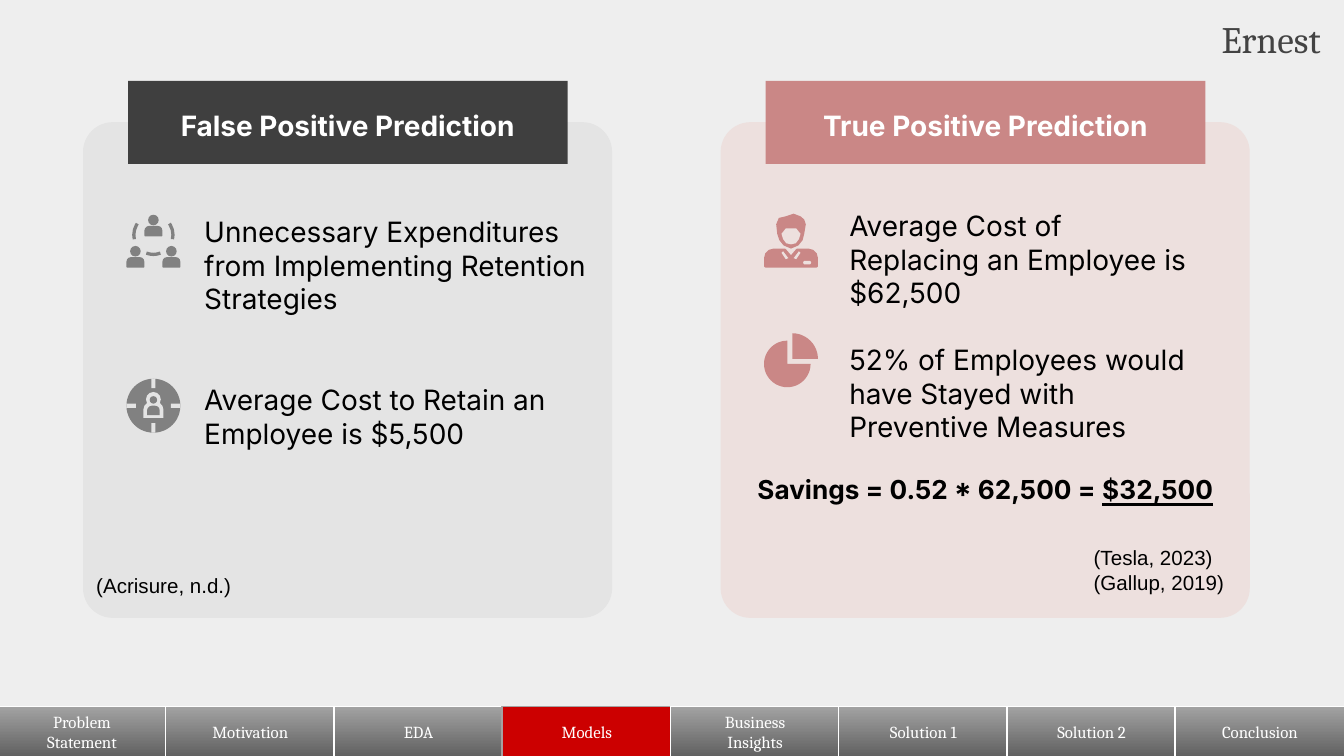
from pptx import Presentation
from pptx.dml.color import RGBColor
from pptx.enum.shapes import MSO_SHAPE
from pptx.enum.text import MSO_ANCHOR, MSO_AUTO_SIZE, PP_ALIGN
from pptx.util import Cm, Pt
from lxml import etree

OVAL, BAR, PIE, ARC = MSO_SHAPE.OVAL, MSO_SHAPE.RECTANGLE, MSO_SHAPE.PIE, MSO_SHAPE.ARC
CARD, SHOULDERS = MSO_SHAPE.ROUNDED_RECTANGLE, MSO_SHAPE.ROUND_2_SAME_RECTANGLE
TAB = MSO_SHAPE.SNIP_1_RECTANGLE
LEFT, CENTER, RIGHT, JUSTIFY = PP_ALIGN.LEFT, PP_ALIGN.CENTER, PP_ALIGN.RIGHT, PP_ALIGN.JUSTIFY
TOP, MIDDLE = MSO_ANCHOR.TOP, MSO_ANCHOR.MIDDLE
DRAWING = "{http://schemas.openxmlformats.org/drawingml/2006/main}"
ICON = 1.02


def color(value):
    """Turn a hex string into a colour."""
    return RGBColor.from_string(value)


def paint(shape, fill):
    """Give a shape a flat fill without line or shadow."""
    shape.shadow.inherit = False
    shape.fill.solid()
    shape.fill.fore_color.rgb = color(fill)
    shape.line.fill.background()
    return shape


def add_shape(page, kind, box, fill, *adjustments):
    """Add a flat preset shape in a box given in centimetres."""
    shape = page.shapes.add_shape(kind, *map(Cm, box))
    for index, value in enumerate(adjustments):
        shape.adjustments[index] = value
    return paint(shape, fill)


def add_outline(page, x, y, points, fill):
    """Add a closed polygon whose points are relative to x, y."""
    corners = [(Cm(x + dx), Cm(y + dy)) for dx, dy in points]
    builder = page.shapes.build_freeform(*corners[0])
    builder.add_line_segments(corners[1:])
    paint(builder.convert_to_shape(), fill)


def add_text(shape, lines, font, size, ink, align=LEFT, anchor=TOP, inset=0.25, bold=False,
             gap=0, spacing=1.0):
    """Write paragraphs, each a list of runs, where a second run is underlined."""
    frame = shape.text_frame
    frame.word_wrap = True
    frame.auto_size = MSO_AUTO_SIZE.NONE
    frame.vertical_anchor = anchor
    frame.margin_left = frame.margin_right = Cm(inset)
    frame.margin_top = frame.margin_bottom = Cm(min(inset, 0.25) if inset > 0.2 else 0.1)
    for index, runs in enumerate(lines):
        para = frame.add_paragraph() if index else frame.paragraphs[0]
        properties = para._p.get_or_add_pPr()
        properties.set("marL", "0")
        properties.set("indent", "0")
        etree.SubElement(properties, DRAWING + "buNone")
        para.alignment = align
        para.line_spacing = spacing
        para.space_before = Pt(gap if index else 0)
        for position, text in enumerate(runs):
            span = para.add_run()
            span.text = text
            span.font.name, span.font.size = font, Pt(size)
            span.font.bold, span.font.underline = bold, position > 0
            span.font.color.rgb = color(ink)


def add_label(page, box, lines, font, size, ink, **options):
    """Add a text box in a box given in centimetres."""
    add_text(page.shapes.add_textbox(*map(Cm, box)), lines, font, size, ink, **options)


def move(placeholder, box):
    """Move a placeholder to a box and bring it to the front."""
    placeholder.left, placeholder.top, placeholder.width, placeholder.height = map(Cm, box)
    placeholder.element.getparent().append(placeholder.element)
    return placeholder


def draw_team(page, x, y, ink, ground):
    """Draw three people joined by arcs."""
    for dx, dy in ((0.34, 0), (0, 0.59), (0.68, 0.59)):
        add_shape(page, OVAL, (x + dx + 0.07, y + dy, 0.2, 0.2), ink)
        add_shape(page, SHOULDERS, (x + dx, y + dy + 0.21, 0.34, 0.2), ink, 0.45, 0.1)
    for start, end in ((167, 215), (325, 13), (69, 111)):
        arc = add_shape(page, ARC, (x + 0.14, y + 0.01, 0.74, 0.74), ink, start * 0.6, end * 0.6)
        arc.fill.background()
        arc.line.color.rgb = color(ink)
        arc.line.width = Pt(1.75)


def draw_target(page, x, y, ink, ground):
    """Draw a target with a person at its centre."""
    add_shape(page, OVAL, (x, y, ICON, ICON), ink)
    middle, far = 0.47, ICON - 0.18
    for end in (0, far):
        add_shape(page, BAR, (x + middle, y + end, 0.08, 0.18), ground)
        add_shape(page, BAR, (x + end, y + middle, 0.18, 0.08), ground)
    for fill, head, body in ((ground, (0.37, 0.25, 0.28, 0.28), (0.32, 0.43, 0.38, 0.31)),
                             (ink, (0.44, 0.33, 0.14, 0.14), (0.39, 0.51, 0.24, 0.18))):
        add_shape(page, OVAL, (x + head[0], y + head[1], *head[2:]), fill)
        add_shape(page, SHOULDERS, (x + body[0], y + body[1], *body[2:]), fill, 0.5, 0)


def draw_employee(page, x, y, ink, ground):
    """Draw the bust of an employee with collar and badge."""
    hair = [(0.56, 0), (0.41, 0.05), (0.28, 0.08), (0.23, 0.2), (0.25, 0.38), (0.29, 0.5),
            (0.37, 0.6), (0.51, 0.66), (0.65, 0.6), (0.73, 0.5), (0.76, 0.38), (0.79, 0.2),
            (0.76, 0.11), (0.69, 0.05)]
    face = [(0.41, 0.28), (0.61, 0.28), (0.69, 0.38), (0.66, 0.48), (0.6, 0.56), (0.51, 0.58),
            (0.42, 0.56), (0.36, 0.48), (0.33, 0.38)]
    lapel = [(0.36, 0.71), (0.46, 0.84), (0.41, 0.86), (0.33, 0.74)]
    add_shape(page, SHOULDERS, (x, y + 0.66, ICON, 0.36), ink, 0.5, 0.1)
    add_outline(page, x, y, [(0.39, 0.64), (0.63, 0.64), (0.51, 0.78)], ground)
    add_outline(page, x, y, hair, ink)
    add_outline(page, x, y, face, ground)
    add_outline(page, x, y, lapel, ground)
    add_outline(page, x, y, [(ICON - dx, dy) for dx, dy in lapel], ground)
    add_shape(page, CARD, (x + 0.74, y + 0.89, 0.15, 0.07), ground, 0.5)


def draw_pie(page, x, y, ink, ground):
    """Draw a pie with its upper right quarter pulled out."""
    add_shape(page, PIE, (x, y + 0.14, 0.88, 0.88), ink, 0, 162)
    add_shape(page, PIE, (x + 0.05, y, 0.97, 0.97), ink, 162, 0)


def build_card(page, x, ground, ink, accent, heading, title, body, body_box, lines, gap, icons):
    """Build one prediction card with heading, icons and statements."""
    add_shape(page, CARD, (x, 2.31, 10, 9.37), ground, 0.06)
    header = paint(move(heading, (x + 0.85, 1.53, 8.31, 1.57)), accent)
    add_text(header, [[title]], "Inter", 15, "FFFFFF", CENTER, MIDDLE, bold=True, spacing=1.15)
    for draw, top in icons:
        draw(page, x + 0.82, top, ink, ground)
    left, top, width, height = body_box
    add_text(move(body, (x + left, top, width, height)), [[line] for line in lines],
             "Inter", 15, "000000", gap=gap)


def build_navigation(page, names, active):
    """Build the row of section tabs along the bottom edge."""
    for index, name in enumerate(names):
        tab = add_shape(page, TAB, (3.18 * index - 0.05, 13.36, 3.2, 0.94), "CC0000", 0)
        tab.line.color.rgb = color("A6A1A1" if name == active else "FFFFFF")
        tab.line.width = Pt(0.75)
        if name != active:
            tab.fill.gradient()
            tab.fill.gradient_angle = 270
            for stop, shade in zip(tab.fill.gradient_stops, ("A2A2A2", "616161")):
                stop.color.rgb = color(shade)
        lines = name.split() if len(name) > 12 else [name]
        add_text(tab, [[line] for line in lines], "Cambria", 9, "FFFFFF", CENTER, MIDDLE, 0.18)


def main():
    """Build and save the deck."""
    deck = Presentation()
    deck.slide_width, deck.slide_height = Cm(25.4), Cm(14.29)
    page = deck.slides.add_slide(deck.slide_layouts[4])
    page.background.fill.solid()
    page.background.fill.fore_color.rgb = color("EEEEEE")
    title, left_head, left_body, right_head, right_body = page.placeholders

    build_card(page, 1.57, "E4E4E4", "818181", "3F3F3F", left_head, "False Positive Prediction",
               left_body, (2.04, 3.81, 7.85, 5.64),
               ["Unnecessary Expenditures from Implementing Retention Strategies",
                "Average Cost to Retain an Employee is $5,500"], 36,
               [(draw_team, 4.06), (draw_target, 7.16)])
    build_card(page, 13.62, "EDE0DE", "CA8786", "CA8786", right_head, "True Positive Prediction",
               right_body, (2.18, 3.69, 7.01, 5.79),
               ["Average Cost of Replacing an Employee is $62,500",
                "52% of Employees would have Stayed with Preventive Measures"], 18,
               [(draw_employee, 4.04), (draw_pie, 6.3)])
    add_label(page, (13.72, 8.69, 9.8, 1.12), [["Savings = 0.52 * 62,500 = ", "$32,500"]],
              "Inter", 14, "000000", align=CENTER, bold=True)
    add_label(page, (1.57, 10.59, 3.2, 1), [["(Acrisure, n.d.)"]],
              "Arial", 11, "000000", align=JUSTIFY)
    add_label(page, (20.42, 10.06, 3.2, 1.45), [["(Tesla, 2023)"], ["(Gallup, 2019)"]],
              "Arial", 11, "000000", align=JUSTIFY)
    add_text(move(title, (21.56, 0.2, 3.58, 1.04)), [["Ernest"]],
             "Cambria", 20, "434343", RIGHT, TOP, 0.18)
    build_navigation(page, ["Problem Statement", "Motivation", "EDA", "Models",
                            "Business Insights", "Solution 1", "Solution 2", "Conclusion"], "Models")
    deck.save("out.pptx")


if __name__ == "__main__":
    main()
